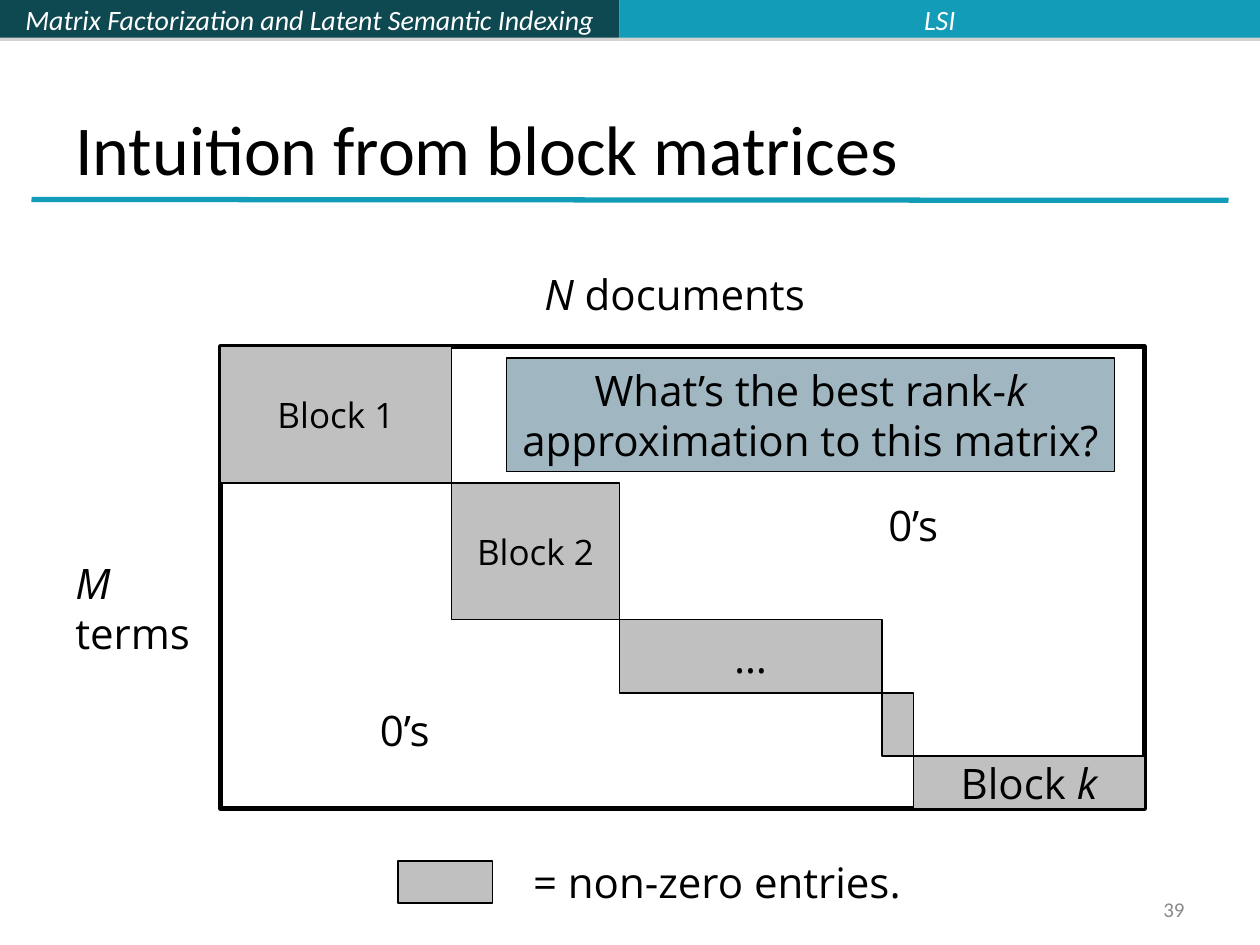
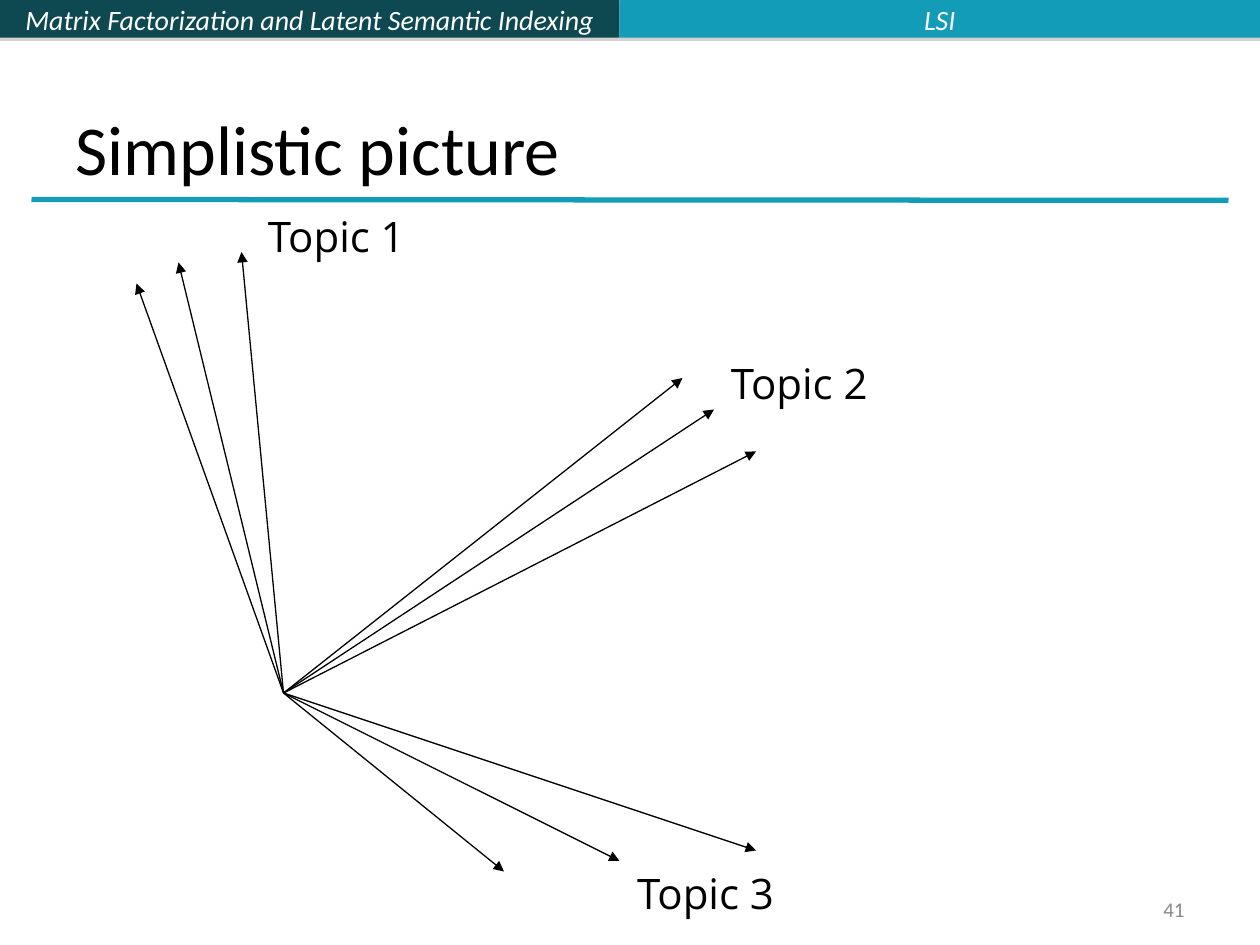
from lxml.etree import SubElement
from pptx import Presentation
from pptx.dml.color import RGBColor
from pptx.enum.shapes import MSO_CONNECTOR, MSO_SHAPE
from pptx.enum.text import MSO_ANCHOR, MSO_AUTO_SIZE, PP_ALIGN
from pptx.oxml import parse_xml
from pptx.oxml.ns import nsdecls, qn
from pptx.util import Pt

BLACK = RGBColor(0x00, 0x00, 0x00)
WHITE = RGBColor(0xFF, 0xFF, 0xFF)
DARK_TEAL = RGBColor(0x0E, 0x48, 0x51)
TEAL = RGBColor(0x13, 0x9C, 0xB7)
BLOCK_GREY = RGBColor(0xC0, 0xC0, 0xC0)
NUMBER_GREY = RGBColor(0x89, 0x89, 0x89)
QUESTION_BLUE = RGBColor(0x43, 0x70, 0x85)
HEAD_FONT, BODY_FONT = "Calibri", "Open Sans"

BAND_SHADOW = (
    f'<a:effectLst {nsdecls("a")}>'
    '<a:outerShdw dist="22860" dir="5400000" rotWithShape="0">'
    '<a:srgbClr val="808080"><a:alpha val="35000"/></a:srgbClr>'
    '</a:outerShdw></a:effectLst>'
)


def add_text(s, box, text, size=24, font=BODY_FONT, color=BLACK,
             align=PP_ALIGN.LEFT, anchor=MSO_ANCHOR.TOP, wrap=False, sp=None):
    """Write text into sp, or a new text box; *stars* enclose italics."""
    if sp is None:
        sp = s.shapes.add_textbox(*map(Pt, box))
    tf = sp.text_frame
    tf.auto_size = MSO_AUTO_SIZE.NONE
    tf.word_wrap = wrap
    tf.vertical_anchor = anchor
    for i, line in enumerate(text.split("\n")):
        p = tf.add_paragraph() if i else tf.paragraphs[0]
        p.alignment = align
        for j, part in enumerate(line.split("*")):
            if part:
                r = p.add_run()
                r.text = part
                r.font.name, r.font.size = font, Pt(size)
                r.font.color.rgb = color
                r.font.italic = j % 2 == 1


def add_rect(s, box, fill=None, line=0.75, text="", **style):
    sp = s.shapes.add_shape(MSO_SHAPE.RECTANGLE, *map(Pt, box))
    sp.shadow.inherit = False
    if fill is None:
        sp.fill.background()
    else:
        sp.fill.solid()
        sp.fill.fore_color.rgb = fill
    if line:
        sp.line.color.rgb = BLACK
        sp.line.width = Pt(line)
    else:
        sp.line.fill.background()
    if text:
        add_text(s, box, text, align=PP_ALIGN.CENTER,
                 anchor=MSO_ANCHOR.MIDDLE, sp=sp, **style)
    return sp


prs = Presentation()
prs.slide_width, prs.slide_height = Pt(720), Pt(540)

# Shared frame: bands, title, rule and slide number
BANDS = [
    (0, 354, DARK_TEAL, "*Matrix Factorization and Latent Semantic Indexing*"),
    (354, 366, TEAL, "*LSI*"),
]
slides = []
for title, number in [("Intuition from block matrices", "39"),
                      ("Simplistic picture", "41")]:
    s = prs.slides.add_slide(prs.slide_layouts[6])
    slides.append(s)
    for left, width, fill, label in BANDS:
        band = add_rect(s, (left, 0, width, 21.6), fill, line=0, text=label,
                        size=16, font=HEAD_FONT, color=WHITE)
        sp_pr = band._element.spPr
        sp_pr.replace(sp_pr.find(qn("a:effectLst")), parse_xml(BAND_SHADOW))
    rule = s.shapes.add_connector(MSO_CONNECTOR.STRAIGHT,
                                  Pt(18), Pt(114), Pt(702), Pt(114.5))
    rule.line.color.rgb = TEAL
    rule.line.width = Pt(3)
    SubElement(rule._element.spPr, qn("a:effectLst"))
    add_text(s, (36, 21.6, 648, 90), title, size=40, font=HEAD_FONT,
             anchor=MSO_ANCHOR.BOTTOM, wrap=True)
    add_text(s, (516, 510, 168, 19.5), number, size=12, font=HEAD_FONT,
             color=NUMBER_GREY, align=PP_ALIGN.RIGHT,
             anchor=MSO_ANCHOR.MIDDLE, wrap=True)
matrix_slide, topics_slide = slides

# Block matrix: each block starts at the lower right corner of the last
BLOCKS = [
    (132, 78, "Block 1", 20),
    (96, 78, "Block 2", 20),
    (150, 42, "…", 24),
    (18, 36, "", 24),
    (132, 30, "Block *k*", 24),
]
x, y = 126, 198
add_rect(matrix_slide, (x, y, 528, 264), line=3)
for width, height, label, size in BLOCKS:
    add_rect(matrix_slide, (x, y, width, height), BLOCK_GREY, text=label, size=size)
    x, y = x + width, y + height

add_rect(matrix_slide, (227.5, 492, 54, 24), BLOCK_GREY)
for box, label in [
    ((210, 399, 44, 36), "0’s"),
    ((500.5, 282, 44, 36), "0’s"),
    ((297.5, 486, 226, 36), "= non-zero entries."),
    ((36, 315, 80, 65), "*M*\nterms"),
    ((304, 150, 164, 36), "*N* documents"),
]:
    add_text(matrix_slide, box, label)

question = add_rect(matrix_slide, (289.5, 204.5, 347.5, 65), QUESTION_BLUE,
                    text="What’s the best rank-*k*\napproximation to this matrix?")
fill_color = question._element.spPr.find(qn("a:solidFill"))[0]
SubElement(fill_color, qn("a:alpha"), val="50000")

# Topic vectors: three arrows per topic from one origin
ORIGIN = (162, 396)
TOPICS = [
    ("Topic 1", (146, 117), [(78, 162), (102, 150), (138, 144)]),
    ("Topic 2", (410.5, 201), [(390, 216), (408, 234), (432, 258)]),
    ("Topic 3", (357, 492), [(354, 492), (288, 498), (432, 486)]),
]
for label, label_at, tips in TOPICS:
    for tip in tips:
        arrow = topics_slide.shapes.add_connector(
            MSO_CONNECTOR.STRAIGHT, *map(Pt, ORIGIN + tip))
        arrow.line.color.rgb = BLACK
        arrow.line.width = Pt(0.75)
        SubElement(arrow.line._get_or_add_ln(), qn("a:tailEnd"), type="triangle")
        SubElement(arrow._element.spPr, qn("a:effectLst"))
    add_text(topics_slide, (*label_at, 94, 36), label)

prs.save("out.pptx")
